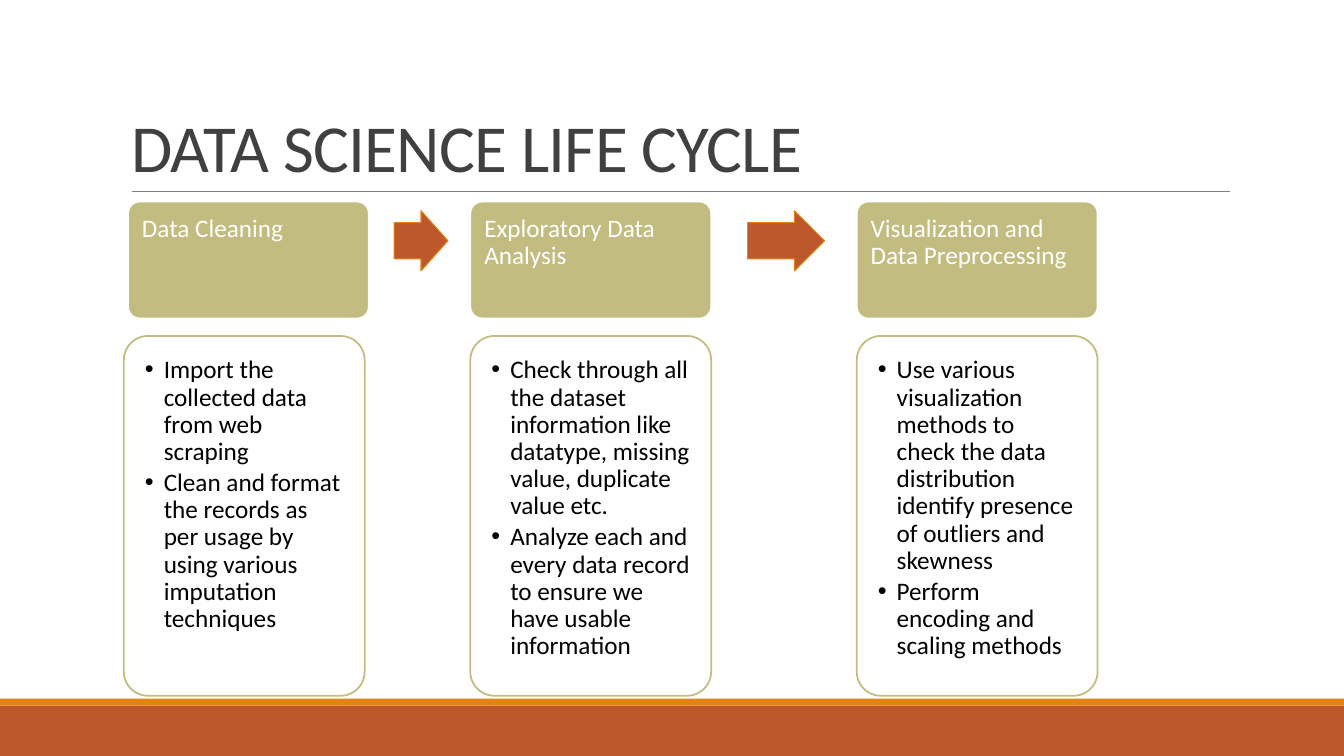
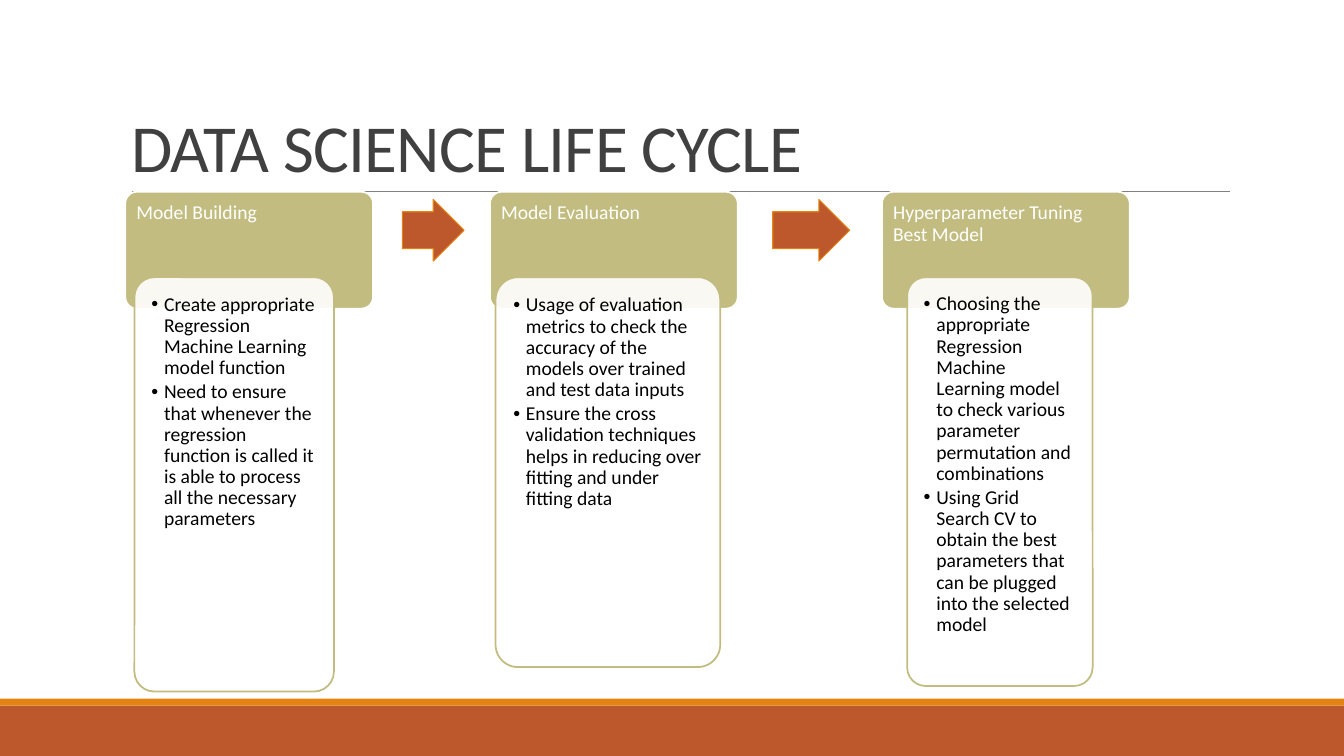
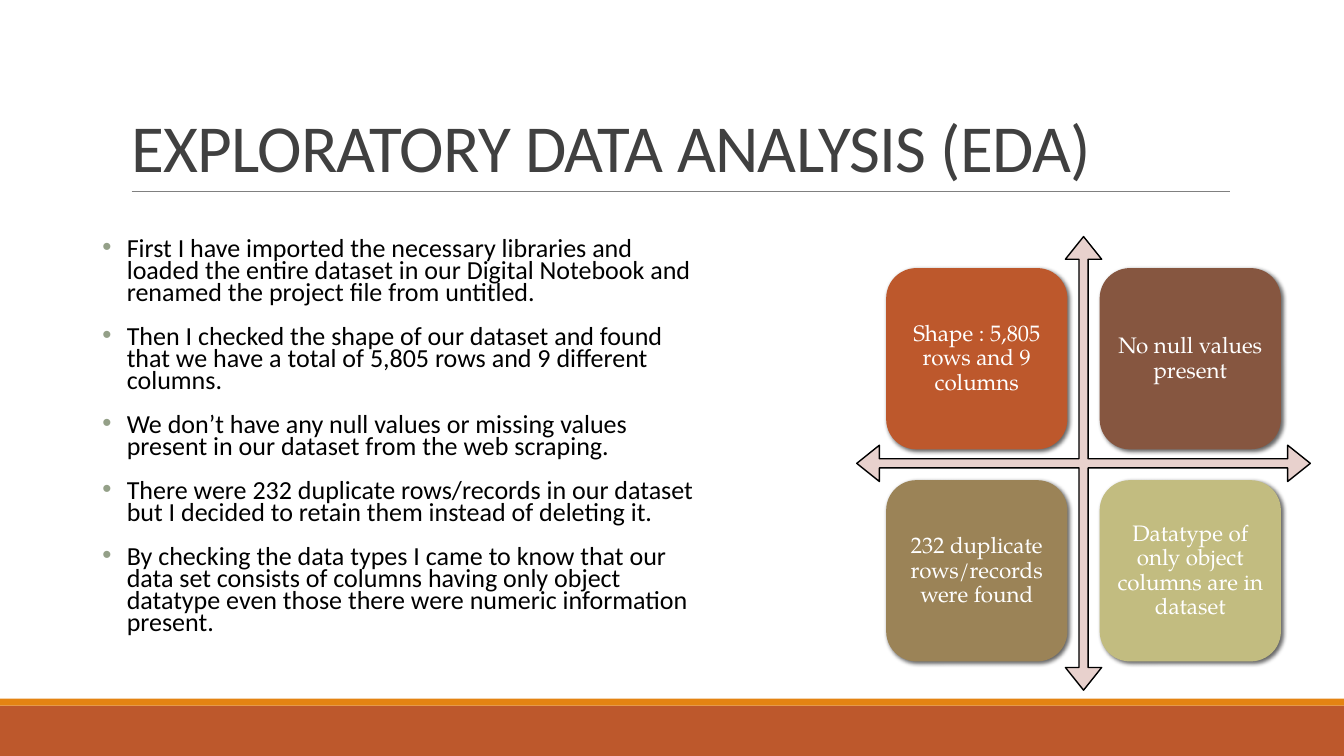
"""Build three slides on a data science life cycle and its exploratory analysis."""
from dataclasses import dataclass
from typing import Any

import pptx
import pptx.dml.color
import pptx.enum.shapes
import pptx.enum.text
import pptx.oxml
import pptx.oxml.ns
import pptx.shapes.autoshape
import pptx.slide
import pptx.text.text
import pptx.util

Pt = pptx.util.Pt
SHAPE = pptx.enum.shapes.MSO_SHAPE
ANCHOR = pptx.enum.text.MSO_ANCHOR
ALIGN = pptx.enum.text.PP_ALIGN
NS = pptx.oxml.ns.nsdecls("a")

COLORS = {
    "rust": "BD582C",
    "orange": "E48312",
    "olive": "C2BC80",
    "brown": "865640",
    "khaki": "9B8357",
    "blush": "E8D1CD",
    "sage": "94A088",
    "rule": "808080",
    "title": "404040",
    "black": "000000",
    "white": "FFFFFF",
}
BODY_FONT = "Calibri"
QUADRANT_FONT = "TeX Gyre Pagella"
SLIDE_W, SLIDE_H = 960, 540


@dataclass
class Box:
    """A rectangle in points."""
    x: float
    y: float
    w: float
    h: float


@dataclass
class TextStyle:
    """How the paragraphs of one text frame look."""
    size: float
    color: str = "black"
    font: str = BODY_FONT
    spacing: float = 0.9
    before: float = 0
    after: float = 0
    align: Any = ALIGN.LEFT
    hanging: float = 0
    bullet_color: str = "black"


@dataclass
class Stage:
    """One step of the life cycle: header, detail card and arrow to the next step."""
    title: str
    points: list[str]
    header_x: float
    card: Box
    arrow: Box | None = None


@dataclass
class Cycle:
    """Measures shared by the stages of one slide."""
    header_y: float
    header_w: float
    size: float
    header_inset: float
    card_inset: float
    hanging: float
    stages: list[Stage]


HEADER_H = 83.5

CYCLES = [
    Cycle(144, 172, 18, 7.5, 10, 13.5, [
        Stage("Data Cleaning", [
            "Import the collected data from web scraping",
            "Clean and format the records as per usage by using various imputation techniques",
        ], 91.5, Box(88.5, 240, 172, 257), Box(281.5, 150.5, 38.5, 43)),
        Stage("Exploratory Data Analysis", [
            "Check through all the dataset information like datatype, missing value, duplicate value etc.",
            "Analyze each and every data record to ensure we have usable information",
        ], 336, Box(336, 240, 172, 257), Box(534, 150.5, 55, 43)),
        Stage("Visualization and Data Preprocessing", [
            "Use various visualization methods to check the data distribution identify presence of "
            "outliers and skewness",
            "Perform encoding and scaling methods",
        ], 612, Box(612, 240, 172, 257)),
    ]),
    Cycle(137, 177, 14, 5.5, 8, 9, [
        Stage("Model Building", [
            "Create appropriate Regression Machine Learning model function",
            "Need to ensure that whenever the regression function is called it is able to process "
            "all the necessary parameters",
        ], 89.5, Box(96, 198, 142.5, 296), Box(287.5, 142.5, 44, 44)),
        Stage("Model Evaluation", [
            "Usage of evaluation metrics to check the accuracy of the models over trained and test data inputs",
            "Ensure the cross validation techniques helps in reducing over fitting and under fitting data",
        ], 350, Box(354, 198, 160.5, 278.5), Box(552, 142.5, 55, 44)),
        Stage("Hyperparameter Tuning Best Model", [
            "Choosing the appropriate Regression Machine Learning model to check various parameter "
            "permutation and combinations",
            "Using Grid Search CV to obtain the best parameters that can be plugged into the selected model",
        ], 630, Box(648, 198, 132.5, 292)),
    ]),
]

FINDINGS = [
    "First I have imported the necessary libraries and loaded the entire dataset in our Digital Notebook "
    "and renamed the project file from untitled.",
    "Then I checked the shape of our dataset and found that we have a total of 5,805 rows and "
    "9 different columns.",
    "We don’t have any null values or missing values present in our dataset from the web scraping.",
    "There were 232 duplicate rows/records in our dataset but I decided to retain them instead of deleting it.",
    "By checking the data types I came to know that our data set consists of columns having only object "
    "datatype even those there were numeric information present.",
]
QUADRANTS = [
    ("Shape : 5,805 rows and 9 columns", "rust"),
    ("No null values present", "brown"),
    ("232 duplicate rows/records were found", "khaki"),
    ("Datatype of only object columns are in dataset", "olive"),
]


def rgb(name: str) -> pptx.dml.color.RGBColor:
    """Return the named palette colour."""
    return pptx.dml.color.RGBColor.from_string(COLORS[name])


def apply(target: Any, **values: Any) -> None:
    """Set each given value as an attribute of the target."""
    for name, value in values.items():
        setattr(target, name, value)


def place(box: Box) -> tuple:
    """Return the box as four lengths."""
    return Pt(box.x), Pt(box.y), Pt(box.w), Pt(box.h)


def add_bullet(p: Any, hanging: float, color: str) -> None:
    """Give a paragraph a hanging round bullet."""
    pPr = p._p.get_or_add_pPr()
    pPr.set("marL", str(Pt(hanging)))
    pPr.set("indent", str(-Pt(hanging)))
    for xml in (
        f'<a:buClr {NS}><a:srgbClr val="{COLORS[color]}"/></a:buClr>',
        f'<a:buFont {NS} typeface="Arial"/>',
        f'<a:buChar {NS} char="•"/>',
    ):
        pPr.append(pptx.oxml.parse_xml(xml))


def write(tf: pptx.text.text.TextFrame, lines: list[str], style: TextStyle,
          inset: float, anchor: Any = ANCHOR.TOP) -> None:
    """Fill a text frame with one paragraph per line."""
    apply(tf, word_wrap=True, vertical_anchor=anchor,
          auto_size=pptx.enum.text.MSO_AUTO_SIZE.NONE)
    apply(tf, **{f"margin_{side}": Pt(inset) for side in ("left", "top", "right", "bottom")})
    for i, line in enumerate(lines):
        p = tf.add_paragraph() if i else tf.paragraphs[0]
        apply(p, alignment=style.align, line_spacing=style.spacing,
              space_before=Pt(style.before), space_after=Pt(style.after))
        if style.hanging:
            add_bullet(p, style.hanging, style.bullet_color)
        r = p.add_run()
        r.text = line
        apply(r.font, name=style.font, size=Pt(style.size))
        r.font.color.rgb = rgb(style.color)


def add_block(s: pptx.slide.Slide, kind: Any, box: Box, fill: str, line: str | None = None,
              width: float = 1, adj: tuple = ()) -> pptx.shapes.autoshape.Shape:
    """Draw a flat preset shape."""
    sp = s.shapes.add_shape(kind, *place(box))
    sp.shadow.inherit = False
    sp.fill.solid()
    sp.fill.fore_color.rgb = rgb(fill)
    if line:
        sp.line.color.rgb = rgb(line)
        sp.line.width = Pt(width)
    else:
        sp.line.fill.background()
    for i, value in enumerate(adj):
        sp.adjustments[i] = value
    return sp


def add_slide(prs: Any, title: str) -> pptx.slide.Slide:
    """Add a slide with the shared title, rule and bottom bands."""
    s = prs.slides.add_slide(prs.slide_layouts[5])
    add_block(s, SHAPE.RECTANGLE, Box(0, 504, SLIDE_W, 36), "rust")
    add_block(s, SHAPE.RECTANGLE, Box(0, 499, SLIDE_W, 5), "orange")
    rule = s.shapes.add_connector(pptx.enum.shapes.MSO_CONNECTOR.STRAIGHT,
                                  Pt(94), Pt(136.5), Pt(878.5), Pt(136.5))
    rule.line.color.rgb = rgb("rule")
    rule.line.width = Pt(0.5)
    rule._element.spPr.append(pptx.oxml.parse_xml(f"<a:effectLst {NS}/>"))
    sp = s.shapes.title
    apply(sp, **dict(zip(("left", "top", "width", "height"), place(Box(86.5, 22, 792, 114.5)))))
    write(sp.text_frame, [title], TextStyle(48, "title", spacing=0.85), 7.2, ANCHOR.BOTTOM)
    sp.text_frame.margin_top = sp.text_frame.margin_bottom = Pt(3.6)
    sp.text_frame.paragraphs[0].runs[0]._r.get_or_add_rPr().set("spc", "-50")
    return s


def add_stage(s: pptx.slide.Slide, cycle: Cycle, stage: Stage) -> None:
    """Draw a stage header, its detail card and the arrow that follows."""
    header = add_block(s, SHAPE.ROUNDED_RECTANGLE,
                       Box(stage.header_x, cycle.header_y, cycle.header_w, HEADER_H),
                       "olive", "white", 1.25, (0.1,))
    write(header.text_frame, [stage.title], TextStyle(cycle.size, "white"), cycle.header_inset)
    card = add_block(s, SHAPE.ROUNDED_RECTANGLE, stage.card, "white", "olive", 1.25, (0.1,))
    color = card._element.spPr.find(pptx.oxml.ns.qn("a:solidFill"))[0]
    color.append(pptx.oxml.parse_xml(f'<a:alpha {NS} val="90000"/>'))
    write(card.text_frame, stage.points,
          TextStyle(cycle.size, after=0.15 * cycle.size, hanging=cycle.hanging), cycle.card_inset)
    if stage.arrow:
        add_block(s, SHAPE.RIGHT_ARROW, stage.arrow, "rust", "orange", 0.75, (0.6, 0.5))


def add_quadrants(s: pptx.slide.Slide) -> None:
    """Draw the four-way arrow with a shadowed tile in each quadrant."""
    add_block(s, SHAPE.QUAD_ARROW, Box(612, 169, 324, 324), "blush", "black", 1, (0.02, 0.04, 0.05))
    style = TextStyle(16, "white", QUADRANT_FONT, after=5.6, align=ALIGN.CENTER)
    for i, (label, fill) in enumerate(QUADRANTS):
        row, col = divmod(i, 2)
        sp = add_block(s, SHAPE.ROUNDED_RECTANGLE,
                       Box(633 + 152.5 * col, 191.5 + 151.5 * row, 129.5, 129.5), fill)
        sp._element.spPr.find(pptx.oxml.ns.qn("a:effectLst")).append(pptx.oxml.parse_xml(
            f'<a:outerShdw {NS} blurRad="{Pt(3)}" dist="{Pt(2)}" dir="2700000" rotWithShape="0">'
            f'<a:srgbClr val="{COLORS["black"]}"><a:alpha val="60000"/></a:srgbClr></a:outerShdw>'))
        write(sp.text_frame, [label], style, 5, ANCHOR.MIDDLE)


def main() -> None:
    """Build and save the presentation."""
    prs = pptx.Presentation()
    apply(prs, slide_width=Pt(SLIDE_W), slide_height=Pt(SLIDE_H))
    for cycle in CYCLES:
        s = add_slide(prs, "DATA SCIENCE LIFE CYCLE")
        for stage in cycle.stages:
            add_stage(s, cycle, stage)
    s = add_slide(prs, "EXPLORATORY DATA ANALYSIS (EDA)")
    add_quadrants(s)
    tb = s.shapes.add_textbox(*place(Box(66, 168, 439, 327)))
    write(tb.text_frame, FINDINGS,
          TextStyle(18.6, spacing=0.7, before=16, hanging=17.5, bullet_color="sage"), 7.2)
    tb.text_frame.margin_top = Pt(3.6)
    prs.save("out.pptx")


if __name__ == "__main__":
    main()
